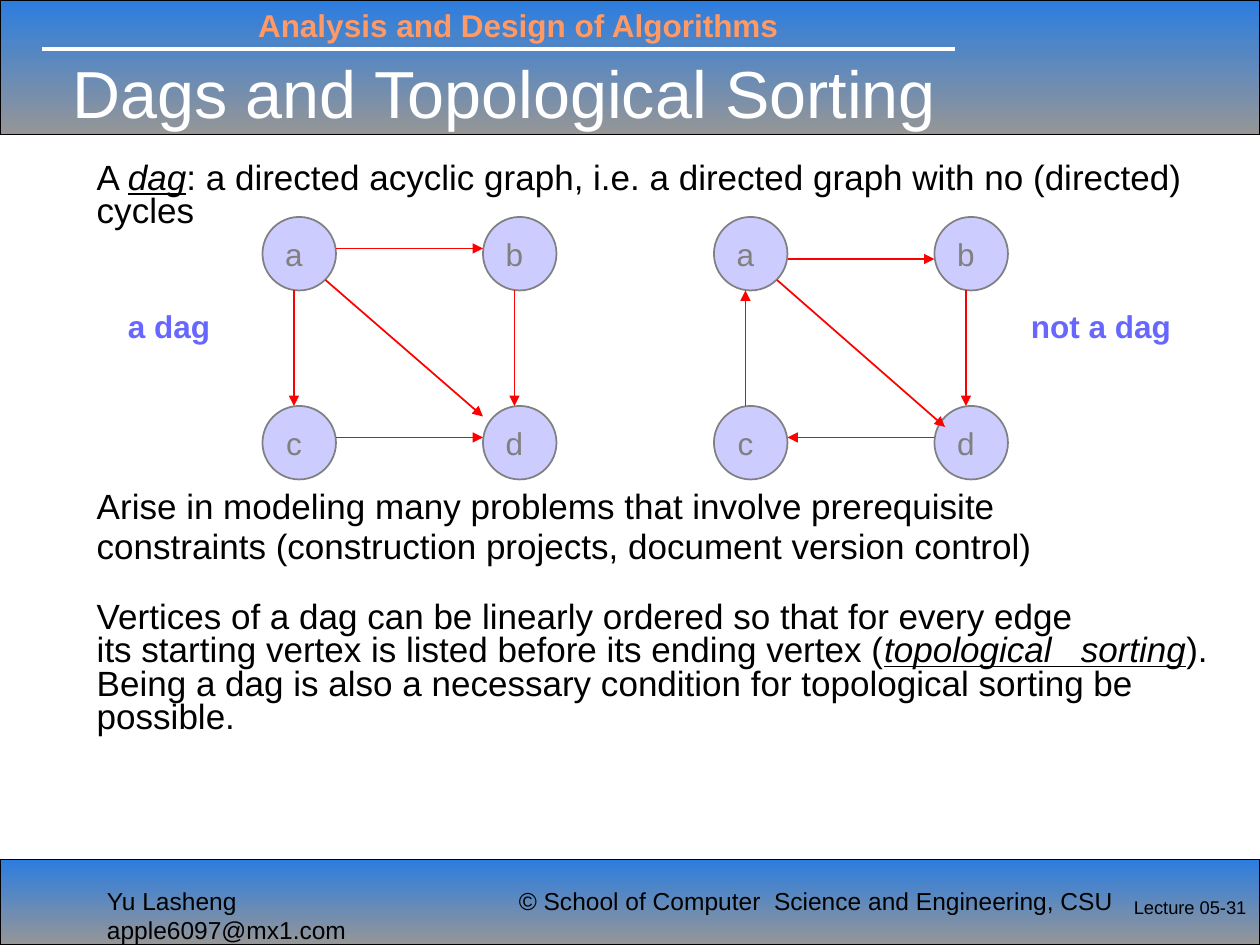
import pptx
import pptx.dml.color
import pptx.enum.dml
import pptx.enum.shapes
import pptx.enum.text
import pptx.oxml
import pptx.oxml.ns
import pptx.util

Pt = pptx.util.Pt
Shape = pptx.enum.shapes.MSO_SHAPE
Anchor = pptx.enum.text.MSO_ANCHOR
Align = pptx.enum.text.PP_ALIGN

BANDS = [(0, 77), (491, 49)]
BAND_STOPS = ["2B7DE0", "969696"]
TITLE = "Dags and Topological Sorting"
TERM = {"italic": True, "underline": True}
BODY = {"size": 20, "color": "000000"}
LABEL = {"size": 18, "color": "6767FF", "bold": True}
FOOTER = {"size": 14, "color": "000000"}

CAPTIONS = [
    ("Analysis and Design of Algorithms", (140.4, 0, 360, 29), {"size": 18, "color": "FF9966", "bold": True}),
    ("Yu Lasheng  apple6097@mx1.com", (54, 502.6, 231, 25), FOOTER),
    ("© School of Computer  Science and Engineering, CSU", (289.4, 502.6, 369, 25), FOOTER),
    ("a dag", (66, 172, 78, 36), LABEL),
    ("not a dag", (582, 172, 120, 36), LABEL),
    ("Lecture 05-31", (640.8, 508.3, 79, 30), {"size": 10.5, "color": "000000"}),
]

# Each paragraph is its space before and its runs.
PASSAGES = [
    (90, 50, [
        (0, [("A ", {}), ("dag", TERM),
             (": a directed acyclic graph, i.e. a directed graph with no (directed) cycles", {})]),
    ]),
    (278, 150, [
        (0, [("Arise in modeling many problems that involve prerequisite", {})]),
        (4, [("constraints (construction projects, document version control)", {})]),
        (20.4, [("Vertices of a dag can be linearly ordered so that for every edge\v"
                 "its starting vertex is listed before its ending vertex (", {}),
                ("topological   sorting", TERM),
                (").  Being a dag is also a necessary condition for topological sorting be possible.", {})]),
    ]),
]

NODE = 42
STEP_X, STEP_Y = 126, 108
NODES = {"a": (0, 0), "b": (1, 0), "c": (0, 1), "d": (1, 1)}
GRAPHS = [
    ((150, 124), [((42, 18), (126, 18)), ((18, 42), (18, 108)), ((42, 126), (126, 126)),
                  ((144, 42), (144, 108)), ((36, 36), (126, 114))]),
    ((408, 124), [((18, 108), (18, 42)), ((126, 126), (42, 126)), ((144, 42), (144, 108)),
                  ((42, 24), (126, 24)), ((36, 36), (132, 120))]),
]


def rgb(value):
    """Turn a hex string into a colour."""
    return pptx.dml.color.RGBColor.from_string(value)


def add_span(para, text, style):
    """Append a run with its font formats."""
    span = para.add_run()
    span.text = text
    span.font.name = "Arial"
    for name, value in style.items():
        if name == "color":
            span.font.color.rgb = rgb(value)
        else:
            setattr(span.font, name, Pt(value) if name == "size" else value)


def add_box(page, place):
    """Add a wrapping text box and return its frame."""
    frame = page.shapes.add_textbox(*map(Pt, place)).text_frame
    frame.word_wrap = True
    return frame


def add_line(page, start, end, color, width, arrow=False):
    """Draw a straight line, with an arrowhead at its end on request."""
    line = page.shapes.add_connector(
        pptx.enum.shapes.MSO_CONNECTOR.STRAIGHT, *map(Pt, start + end))
    line.line.color.rgb = rgb(color)
    line.line.width = Pt(width)
    if arrow:
        head = pptx.oxml.parse_xml(
            f'<a:tailEnd {pptx.oxml.ns.nsdecls("a")} type="triangle"/>')
        line.line._get_or_add_ln().append(head)
    line._element.spPr.append(
        pptx.oxml.parse_xml(f'<a:effectLst {pptx.oxml.ns.nsdecls("a")}/>'))


def add_shape(page, kind, place, line_color, width):
    """Add a preset shape without shadow."""
    shape = page.shapes.add_shape(kind, *map(Pt, place))
    shape.shadow.inherit = False
    shape.line.color.rgb = rgb(line_color)
    shape.line.width = Pt(width)
    return shape


def add_band(page, top, height):
    """Add a full-width band that fades downwards."""
    band = add_shape(page, Shape.RECTANGLE, (0, top, 720, height), "000000", 0.75)
    band.fill.gradient()
    band.fill.gradient_angle = 270
    for stop, color, position in zip(band.fill.gradient_stops, BAND_STOPS, (0, 1)):
        stop.color.rgb = rgb(color)
        stop.position = position


def add_graph(page, origin, edges):
    """Draw the four vertices and the arrows of one graph."""
    left, top = origin
    for name, (column, row) in NODES.items():
        place = (left + column * STEP_X, top + row * STEP_Y, NODE, NODE)
        node = add_shape(page, Shape.OVAL, place, "808080", 1)
        node.fill.solid()
        node.fill.fore_color.rgb = rgb("CCCCFF")
        frame = node.text_frame
        formats = {"word_wrap": False, "vertical_anchor": Anchor.MIDDLE,
                   "margin_left": 0, "margin_right": Pt(6)}
        for key, value in formats.items():
            setattr(frame, key, value)
        frame.paragraphs[0].alignment = Align.CENTER
        add_span(frame.paragraphs[0], name, {"size": 18, "color": "808080"})
    for start, end in edges:
        ends = [(left + x, top + y) for x, y in (start, end)]
        add_line(page, *ends, "FF0000", 1, arrow=True)


def add_passage(page, top, height, paragraphs):
    """Add a block of body text."""
    frame = add_box(page, (48.2, top, 660, height))
    for index, (gap, spans) in enumerate(paragraphs):
        para = frame.add_paragraph() if index else frame.paragraphs[0]
        para.line_spacing = Pt(19.2)
        if index:
            para.space_before = Pt(gap)
        for text, style in spans:
            pieces = text.split("\v")
            for number, piece in enumerate(pieces):
                if number:
                    para.add_line_break()
                add_span(para, piece, {**BODY, **style})


def set_title(page):
    """Place and format the title, in front of the band."""
    title = page.shapes.title
    page.shapes._spTree.append(title._element)
    for name, value in {"left": 34, "top": 28, "width": 562, "height": 49}.items():
        setattr(title, name, Pt(value))
    frame = title.text_frame
    frame.vertical_anchor = Anchor.MIDDLE
    frame.auto_size = pptx.enum.text.MSO_AUTO_SIZE.NONE
    frame.paragraphs[0].alignment = Align.LEFT
    add_span(frame.paragraphs[0], TITLE, {"size": 38, "color": "FFFFFF"})


def main():
    """Build the slide and save it."""
    deck = pptx.Presentation()
    deck.slide_width, deck.slide_height = Pt(720), Pt(540)
    page = deck.slides.add_slide(deck.slide_layouts[5])
    for top, height in BANDS:
        add_band(page, top, height)
    add_line(page, (24, 28), (546, 28), "FFFFFF", 2.25)
    set_title(page)
    for passage in PASSAGES:
        add_passage(page, *passage)
    for origin, edges in GRAPHS:
        add_graph(page, origin, edges)
    for text, place, style in CAPTIONS:
        frame = add_box(page, place)
        frame.word_wrap = False
        add_span(frame.paragraphs[0], text, style)
    deck.save("out.pptx")


if __name__ == "__main__":
    main()
